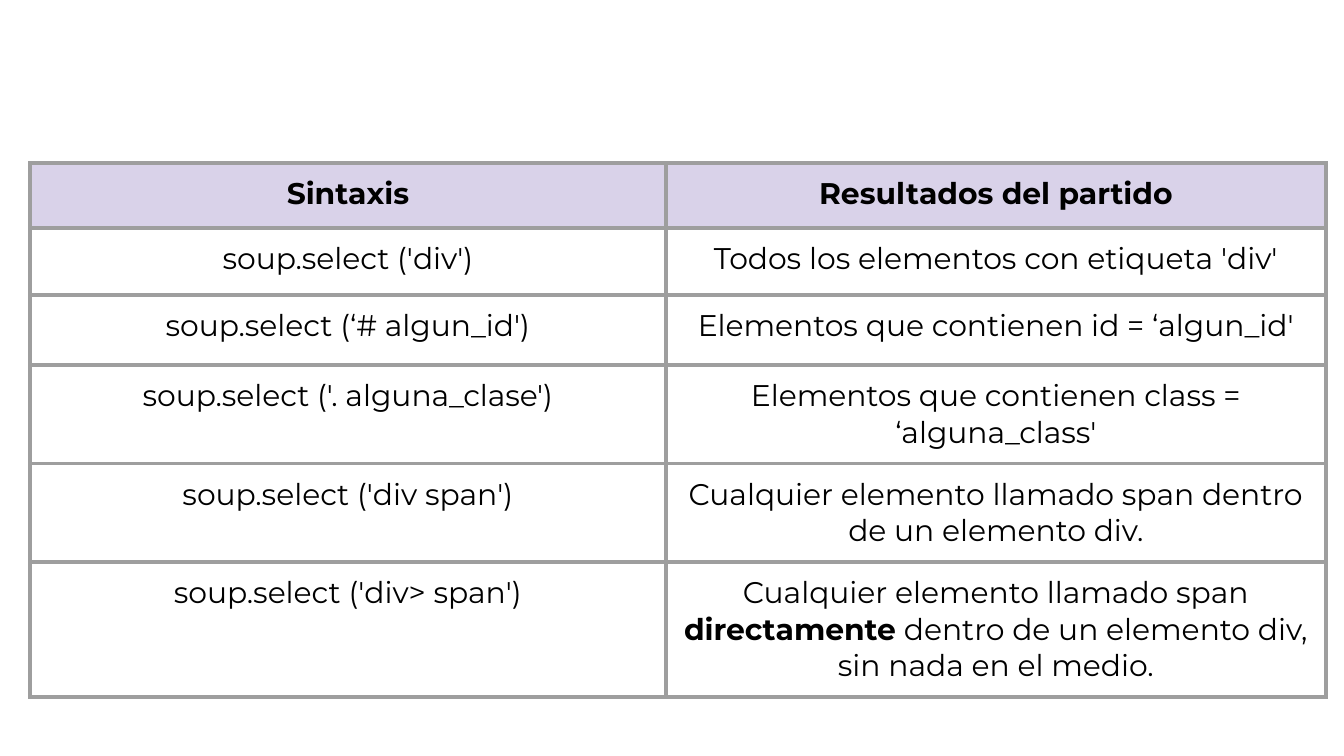
import dataclasses

import lxml.etree
import pptx
import pptx.dml.color
import pptx.enum.text
import pptx.oxml.ns
import pptx.util


@dataclasses.dataclass(frozen=True)
class Theme:
    font: str = "Montserrat"
    size: int = 16
    text: str = "000000"
    header: str = "D9D2E9"
    border: str = "9E9E9E"
    border_width: float = 2.25
    cell_margin: int = 13


class Deck:
    def __init__(self, theme, width, height):
        self.theme = theme
        self.presentation = pptx.Presentation()
        self.presentation.slide_width = self.length(width)
        self.presentation.slide_height = self.length(height)
        self.page = None

    def length(self, pixels):
        return pptx.util.Emu(round(pixels * 914400 / 134.4))

    def add_page(self):
        self.page = self.presentation.slides.add_slide(self.presentation.slide_layouts[6])

    def add_table(self, left, top, widths, heights, rows):
        frame = self.page.shapes.add_table(
            len(heights), len(widths), self.length(left), self.length(top),
            self.length(sum(widths)), self.length(sum(heights)))
        table = frame.table
        table.first_row = True
        table.horz_banding = False
        for column, width in zip(table.columns, widths):
            column.width = self.length(width)
        for row, height in zip(table.rows, heights):
            row.height = self.length(height)
        for row_index, texts in enumerate(rows):
            for column_index, spans in enumerate(texts):
                self.fill_cell(table.cell(row_index, column_index), spans, row_index == 0)

    def fill_cell(self, cell, spans, is_header):
        margin = self.length(self.theme.cell_margin)
        cell.margin_left = cell.margin_right = margin
        cell.margin_top = cell.margin_bottom = margin
        self.add_borders(cell)
        if is_header:
            cell.fill.solid()
            cell.fill.fore_color.rgb = pptx.dml.color.RGBColor.from_string(self.theme.header)
        else:
            cell.fill.background()
        para = cell.text_frame.paragraphs[0]
        para.alignment = pptx.enum.text.PP_ALIGN.CENTER
        for text, bold in spans:
            self.add_span(para, text, bold)

    def add_span(self, para, text, bold):
        span = para.add_run()
        span.text = text
        span.font.name = self.theme.font
        span.font.size = pptx.util.Pt(self.theme.size)
        span.font.bold = bold
        span.font.color.rgb = pptx.dml.color.RGBColor.from_string(self.theme.text)

    def add_borders(self, cell):
        name = pptx.oxml.ns.qn
        properties = cell._tc.get_or_add_tcPr()
        for side in ("a:lnL", "a:lnR", "a:lnT", "a:lnB"):
            line = lxml.etree.SubElement(
                properties, name(side), w=str(pptx.util.Pt(self.theme.border_width)))
            fill = lxml.etree.SubElement(line, name("a:solidFill"))
            lxml.etree.SubElement(fill, name("a:srgbClr"), val=self.theme.border)

    def save(self):
        self.presentation.save("out.pptx")


def plain(text):
    return [(text, False)]


def strong(text):
    return [(text, True)]


selectors = [
    [strong("Sintaxis"), strong("Resultados del partido")],
    [plain("soup.select ('div')"), plain("Todos los elementos con etiqueta 'div'")],
    [plain("soup.select (‘# algun_id')"), plain("Elementos que contienen id = ‘algun_id'")],
    [plain("soup.select ('. alguna_clase')"),
     plain("Elementos que contienen class = ‘alguna_class'")],
    [plain("soup.select ('div span')"),
     plain("Cualquier elemento llamado span dentro de un elemento div.")],
    [plain("soup.select ('div> span')"),
     plain("Cualquier elemento llamado span ") + strong("directamente")
     + plain(" dentro de un elemento div, sin nada en el medio.")],
]

deck = Deck(Theme(), 1344, 756)
deck.add_page()
deck.add_table(30, 163, [636, 660], [65, 67, 70, 95, 85, 85], selectors)
deck.save()
